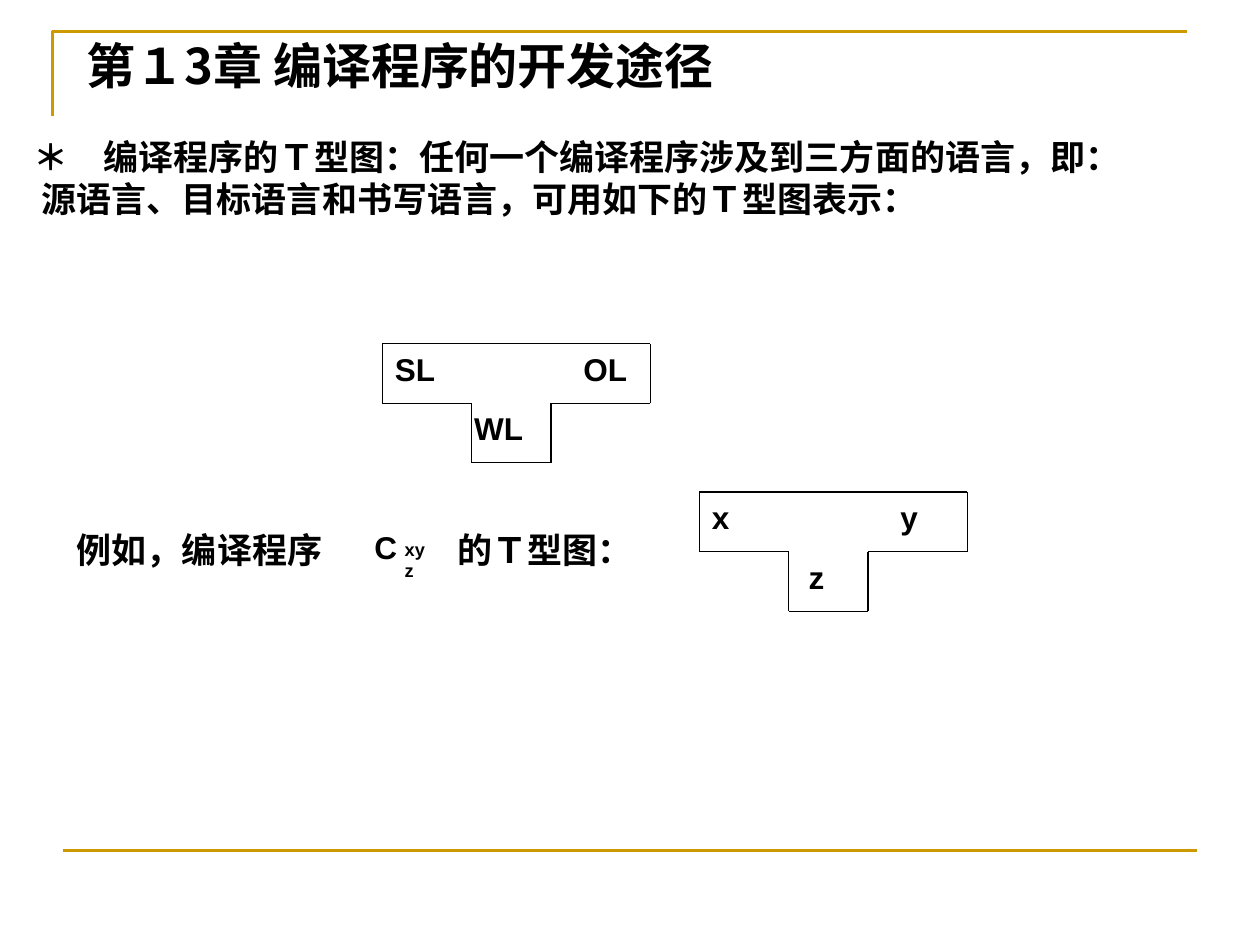
from itertools import pairwise

from lxml import etree
from pptx import Presentation
from pptx.dml.color import RGBColor
from pptx.enum.shapes import MSO_CONNECTOR
from pptx.enum.text import MSO_ANCHOR, PP_ALIGN
from pptx.oxml.ns import qn
from pptx.util import Cm, Pt

STRAIGHT = MSO_CONNECTOR.STRAIGHT
MIDDLE = MSO_ANCHOR.MIDDLE
LEFT = PP_ALIGN.LEFT
LATIN, CHINESE = "Arial", "Noto Sans CJK SC"
BLACK, GOLD = "000000", "CC9900"


def color(value):
    """Turn a hex string into a colour."""
    return RGBColor.from_string(value)


def add_span(para, text, size, latin=LATIN, baseline=0):
    """Add one bold black run, raised or lowered by a percentage."""
    span = para.add_run()
    span.text = text
    span.font.size, span.font.bold, span.font.name = Pt(size), True, latin
    span.font.color.rgb = color(BLACK)
    props = span._r.get_or_add_rPr()
    etree.SubElement(props, qn("a:ea"), typeface=CHINESE)
    if baseline:
        props.set("baseline", str(baseline * 1000))


def add_text(page, box, lines, size=18, baseline=0, spacing=None):
    """Add a text box with one paragraph per line and return its paragraphs."""
    frame = page.shapes.add_textbox(*map(Cm, box)).text_frame
    frame.word_wrap = True
    for index, line in enumerate(lines):
        para = frame.add_paragraph() if index else frame.paragraphs[0]
        if spacing:
            para.line_spacing = Pt(spacing)
        add_span(para, line, size, baseline=baseline)
    return frame.paragraphs


def add_line(page, start, end, line_color, width):
    """Draw a straight line between two points in centimetres."""
    line = page.shapes.add_connector(STRAIGHT, *map(Cm, (*start, *end)))
    line.line.color.rgb = color(line_color)
    line.line.width = Pt(width)
    etree.SubElement(line._element.spPr, qn("a:effectLst"))


def add_frame(page, box):
    """Draw the gold corner above the title and the gold line at the foot."""
    left, top, width, height = box
    builder = page.shapes.build_freeform(Cm(left), Cm(top + 1.7))
    builder.add_line_segments(
        [(Cm(left), Cm(top)), (Cm(left + width), Cm(top))], close=False)
    corner = builder.convert_to_shape()
    corner.shadow.inherit = False
    corner.fill.background()
    corner.line.color.rgb = color(GOLD)
    corner.line.width = Pt(1.5)
    start, foot = left + 0.21, top + height
    add_line(page, (start, foot), (start + width, foot), GOLD, 1.5)


def add_title(page, box, text):
    """Place and format the title placeholder."""
    title = page.shapes.title
    title.left, title.top, title.width, title.height = map(Cm, box)
    title.text_frame.vertical_anchor = MIDDLE
    para = title.text_frame.paragraphs[0]
    para.alignment = LEFT
    add_span(para, text, 28, CHINESE)


def add_intro(page, box, lines):
    """Add the introduction, its second line slightly indented."""
    paras = add_text(page, box, lines, 20, spacing=24)
    paras[1]._p.get_or_add_pPr().set("marL", str(Cm(0.16)))


def add_t_diagram(page, box, source, target, writing, writing_shift=0):
    """Draw a T diagram with its three language labels."""
    left, top, width, height = box
    right, bottom, arm = left + width, top + height, top + height / 2
    stem_left, stem_right = left + 1.8, left + 3.4
    corners = [
        (left, top), (left, arm), (stem_left, arm), (stem_left, bottom),
        (stem_right, bottom), (stem_right, arm), (right, arm), (right, top)]
    for start, end in pairwise(corners):
        add_line(page, start, end, BLACK, 0.75)
    add_line(page, corners[0], corners[-1], BLACK, 0.75)
    add_text(page, (left, top, 1.6, 1.27), [source])
    add_text(page, (left + 3.8, top, 2, 1.27), [target])
    add_text(page, (left + 1.6 + writing_shift, arm, 2.2, 1.27), [writing])


def add_example(page, box):
    """Add the example sentence with the compiler symbol in its gap."""
    left, top, width, height = box
    para = add_text(page, box, ["例如，编译程序\t的Ｔ型图："], 20, spacing=24)[0]
    tabs = etree.SubElement(para._p.get_or_add_pPr(), qn("a:tabLst"))
    etree.SubElement(tabs, qn("a:tab"), pos=str(Cm(7.67)), algn="l")
    add_text(page, (left + 6, top, 1, 1.27), ["C"])
    add_text(page, (left + 6.61, top + 0.13, 1.4, 0.94), ["xy"], baseline=30)
    add_text(page, (left + 6.61, top + 0.2, 0.8, 0.94), ["z"], baseline=-25)


def main():
    """Build the slide and save the deck."""
    deck = Presentation()
    deck.slide_width, deck.slide_height = Cm(25.4), Cm(19.05)
    page = deck.slides.add_slide(deck.slide_layouts[5])
    add_frame(page, (1.06, 0.63, 22.86, 16.51))
    add_title(page, (1.49, 0.58, 23.9, 1.47), "第１3章 编译程序的开发途径")
    add_intro(page, (0.43, 2.6, 24.77, 2.74), [
        "＊　编译程序的Ｔ型图：任何一个编译程序涉及到三方面的语言，即：",
        "源语言、目标语言和书写语言，可用如下的Ｔ型图表示："])
    add_t_diagram(page, (7.71, 6.93, 5.4, 2.4), "SL", "OL", "WL")
    add_example(page, (1.3, 10.52, 11.81, 1.12))
    add_t_diagram(page, (14.1, 9.92, 5.4, 2.4), "x", "y", "z", 0.35)
    deck.save("out.pptx")


if __name__ == "__main__":
    main()
